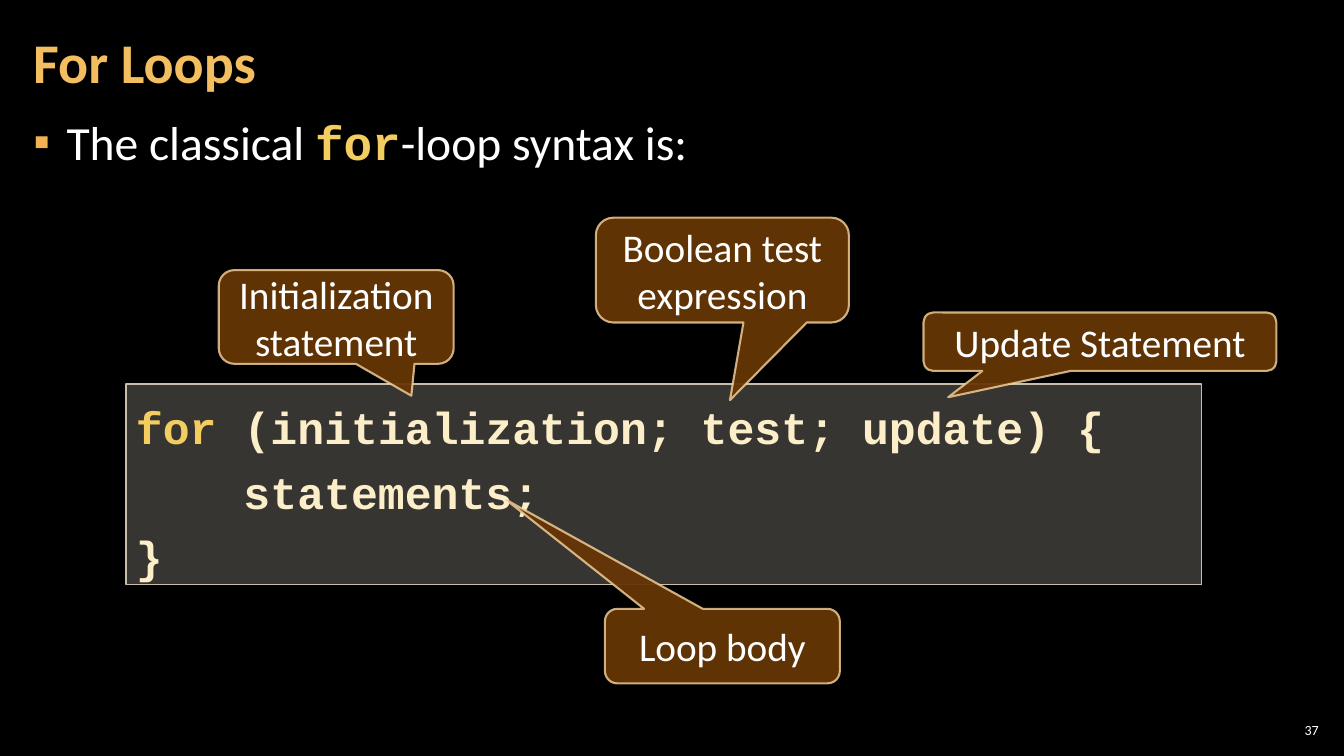
from pptx import Presentation
from pptx.dml.color import RGBColor
from pptx.enum.shapes import MSO_SHAPE
from pptx.enum.text import MSO_ANCHOR, PP_ALIGN
from pptx.oxml.ns import qn
from pptx.util import Inches, Pt
from lxml.etree import SubElement

BLACK = RGBColor(0x00, 0x00, 0x00)
WHITE = RGBColor(0xFF, 0xFF, 0xFF)
TITLE_GOLD = RGBColor(0xF3, 0xBE, 0x60)
BULLET_GOLD = RGBColor(0xF2, 0xB2, 0x54)
KEYWORD = RGBColor(0xF3, 0xCD, 0x60)
CODE = RGBColor(0xFB, 0xEE, 0xC9)
PANEL = RGBColor(0xD9, 0xD5, 0xC7)
PANEL_LINE = RGBColor(0xC7, 0xBF, 0xAC)
BROWN = RGBColor(0x66, 0x36, 0x06)
CALLOUT_LINE = RGBColor(0xF8, 0xD4, 0x9E)

SANS = "Calibri"
MONO = "Courier New"

# text, (left, top, width, height), pointer tip offset (x, y)
CALLOUTS = [
    ("Initialization statement", (2.17, 2.68, 2.33, 0.93), (0.32, 0.84)),
    ("Boolean test expression", (5.91, 2.16, 2.51, 1.04), (0.03, 1.24)),
    ("Update Statement", (9.16, 3.1, 3.5, 0.58), (-0.43, 0.95)),
    ("Loop body", (6, 6.04, 2.33, 0.74), (-0.92, -1.96)),
]


def add_run(p, text, size, color, font=SANS, bold=False):
    r = p.add_run()
    r.text = text
    r.font.size = Pt(size)
    r.font.name = font
    r.font.bold = bold
    r.font.color.rgb = color


def add_text_box(slide, box, side_inset, anchor=MSO_ANCHOR.TOP):
    """Add an empty wrapping text box and return its first paragraph."""
    tf = slide.shapes.add_textbox(*map(Inches, box)).text_frame
    tf.word_wrap = True
    tf.vertical_anchor = anchor
    tf.margin_left = tf.margin_right = Inches(side_inset)
    tf.margin_top = tf.margin_bottom = Inches(0.04)
    return tf.paragraphs[0]


def set_bullet(p, char, color, indent):
    pPr = p._p.get_or_add_pPr()
    pPr.set("marL", str(Inches(indent)))
    pPr.set("indent", str(-Inches(indent)))
    SubElement(SubElement(pPr, qn("a:buClr")), qn("a:srgbClr"), val=str(color))
    SubElement(pPr, qn("a:buFont"), typeface="Arial")
    SubElement(pPr, qn("a:buChar"), char=char)


def set_opacity(color_parent, percent):
    color = color_parent.find(".//" + qn("a:srgbClr"))
    SubElement(color, qn("a:alpha"), val=str(percent * 1000))


def add_panel(slide, preset, box, fill, opacity, line, line_width):
    sp = slide.shapes.add_shape(preset, *map(Inches, box))
    sp.shadow.inherit = False
    sp.fill.solid()
    sp.fill.fore_color.rgb = fill
    set_opacity(sp._element.spPr.find(qn("a:solidFill")), opacity)
    sp.line.color.rgb = line
    sp.line.width = Pt(line_width)
    sp.text_frame.word_wrap = True
    return sp


def add_code(slide):
    sp = add_panel(slide, MSO_SHAPE.RECTANGLE, (1.25, 3.81, 10.67, 1.99),
                   PANEL, 25, PANEL_LINE, 1)
    tf = sp.text_frame
    tf.vertical_anchor = MSO_ANCHOR.TOP
    p = tf.paragraphs[0]
    p.alignment = PP_ALIGN.LEFT
    p.line_spacing = 1.2
    add_run(p, "for", 32, KEYWORD, MONO, True)
    add_run(p, " (initialization; test; update) {", 32, CODE, MONO, True)
    for line in ("    statements;", "}"):
        p.add_line_break()
        add_run(p, line, 32, CODE, MONO, True)


def add_callout(slide, text, box, tip):
    sp = add_panel(slide, MSO_SHAPE.ROUNDED_RECTANGULAR_CALLOUT, box,
                   BROWN, 95, CALLOUT_LINE, 1.5)
    set_opacity(sp._element.spPr.find(qn("a:ln")), 80)
    sp.adjustments[0], sp.adjustments[1] = tip
    sp.text_frame.vertical_anchor = MSO_ANCHOR.MIDDLE
    p = sp.text_frame.paragraphs[0]
    p.alignment = PP_ALIGN.CENTER
    add_run(p, text, 28, WHITE)


def main():
    prs = Presentation()
    prs.slide_width, prs.slide_height = Inches(13.33), Inches(7.5)
    slide = prs.slides.add_slide(prs.slide_layouts[6])
    slide.background.fill.solid()
    slide.background.fill.fore_color.rgb = BLACK

    number = add_text_box(slide, (12.65, 7.14, 0.47, 0.21), 0.04, MSO_ANCHOR.MIDDLE)
    number.alignment = PP_ALIGN.RIGHT
    add_run(number, "37", 10, WHITE)

    body = add_text_box(slide, (0.21, 1.08, 12.91, 6.17), 0.12)
    set_bullet(body, "▪", BULLET_GOLD, 0.33)
    add_run(body, "The classical ", 34, WHITE)
    add_run(body, "for", 34, KEYWORD, MONO, True)
    add_run(body, "-loop syntax is:", 34, WHITE)

    title = add_text_box(slide, (0.21, 0.04, 10.47, 1.21), 0.12, MSO_ANCHOR.MIDDLE)
    title.line_spacing = 0.9
    add_run(title, "For Loops", 40, TITLE_GOLD, bold=True)

    add_code(slide)
    for text, box, tip in CALLOUTS:
        add_callout(slide, text, box, tip)

    prs.save("out.pptx")


if __name__ == "__main__":
    main()
